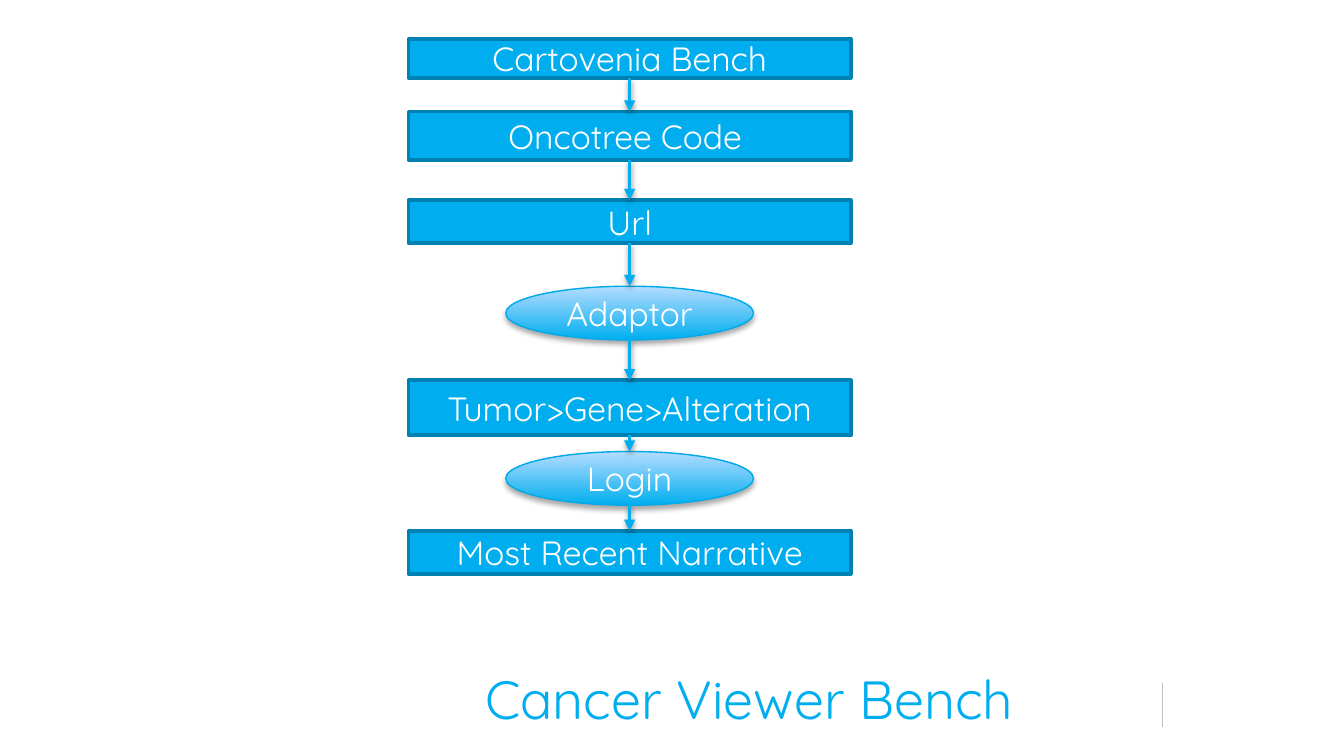
from lxml.etree import SubElement
from pptx import Presentation
from pptx.dml.color import RGBColor
from pptx.enum.shapes import MSO_CONNECTOR as CXN, MSO_SHAPE as SHAPE
from pptx.enum.text import MSO_ANCHOR as ANCHOR, MSO_AUTO_SIZE as AUTO, PP_ALIGN as ALIGN
from pptx.oxml.ns import qn
from pptx.util import Inches, Pt

COLORS = {"blue": "00AEEF", "edge": "0081B1", "rim": "00AAEA", "pale": "B5DCFF",
          "white": "FFFFFF", "grey": "BFBFBF", "shadow": "000000"}
FONT = "Quicksand"
GRID_COLUMNS = 1000
OVAL_SHARE = 0.56
STEPS = [  # label, shape, rows of gap above, rows of height
    ("Cartovenia Bench", SHAPE.RECTANGLE, 0, 29),
    ("Oncotree Code ", SHAPE.RECTANGLE, 25, 36),
    ("Url", SHAPE.RECTANGLE, 30, 32),
    ("Adaptor", SHAPE.OVAL, 32, 40),
    ("Tumor>Gene>Alteration", SHAPE.RECTANGLE, 30, 41),
    ("Login", SHAPE.OVAL, 12, 40),
    ("Most Recent Narrative", SHAPE.RECTANGLE, 19, 32),
]


def rgb(name):
    """Return a palette colour."""
    return RGBColor.from_string(COLORS[name])


def add_run(p, text, size, color):
    """Add one formatted run to a paragraph."""
    r = p.add_run()
    r.text = text
    r.font.name, r.font.size = FONT, Pt(size)
    r.font.color.rgb = rgb(color)


def set_line(s, color, width):
    """Set the colour and width of an outline or connector."""
    s.line.color.rgb = rgb(color)
    s.line.width = Pt(width)


def set_shadow(s, alpha=None, dist=0):
    """Replace the theme shadow by a downward one, or by none."""
    spPr = s._element.spPr
    for old in spPr.findall(qn("a:effectLst")):
        spPr.remove(old)
    effects = SubElement(spPr, qn("a:effectLst"))
    if alpha:
        shadow = SubElement(effects, qn("a:outerShdw"), blurRad=str(Pt(3.1)),
                            dist=str(Pt(dist)), dir="5400000", rotWithShape="0")
        color = SubElement(shadow, qn("a:srgbClr"), val=COLORS["shadow"])
        SubElement(color, qn("a:alpha"), val=str(alpha * 1000))


def add_step(slide, label, kind, x, y, w, h):
    """Draw one labelled step inside the given box."""
    sp = slide.shapes.add_shape(kind, x, y, w, h)
    if kind == SHAPE.OVAL:
        sp.fill.gradient()
        sp.fill.gradient_angle = 90
        for stop, color, pos in zip(sp.fill.gradient_stops, ("blue", "pale"), (0, 1)):
            stop.color.rgb, stop.position = rgb(color), pos
        set_line(sp, "rim", 0.75)
        set_shadow(sp, 35, 1.8)
    else:
        sp.fill.solid()
        sp.fill.fore_color.rgb = rgb("blue")
        set_line(sp, "edge", 2)
        set_shadow(sp)
    tf = sp.text_frame
    tf.word_wrap, tf.vertical_anchor = True, ANCHOR.MIDDLE
    p = tf.paragraphs[0]
    p.alignment = ALIGN.CENTER
    add_run(p, label, 18, "white")
    return sp


def add_arrow(slide, upper, lower):
    """Join two stacked steps with a downward arrow."""
    x = upper.left + upper.width // 2
    cxn = slide.shapes.add_connector(CXN.STRAIGHT, x, upper.top + upper.height, x, lower.top)
    if upper.auto_shape_type == SHAPE.RECTANGLE:
        cxn.begin_connect(upper, 2)
    if lower.auto_shape_type == SHAPE.RECTANGLE:
        cxn.end_connect(lower, 0)
    set_line(cxn, "blue", 2)
    SubElement(cxn._element.spPr.find(qn("a:ln")), qn("a:tailEnd"), type="triangle")
    set_shadow(cxn, 38, 1.6)


def add_flow(slide, x, y, w, h):
    """Stack the steps in the box and link each to the next."""
    row = h / sum(gap + rows for _, _, gap, rows in STEPS)
    shapes = []
    for label, kind, gap, rows in STEPS:
        y += gap * row
        width = w * OVAL_SHARE if kind == SHAPE.OVAL else w
        box = (x + (w - width) / 2, y, width, rows * row)
        shapes.append(add_step(slide, label, kind, *map(int, box)))
        y += rows * row
    for upper, lower in zip(shapes, shapes[1:]):
        add_arrow(slide, upper, lower)


def add_title(slide, text, x, y, w, h):
    """Place the slide title in the box."""
    sp = slide.shapes.title
    sp.left, sp.top, sp.width, sp.height = x, y, w, h
    tf = sp.text_frame
    tf.auto_size, tf.word_wrap, tf.vertical_anchor = AUTO.NONE, True, ANCHOR.MIDDLE
    tf.margin_left = tf.margin_right = Inches(0.1)
    tf.margin_top = tf.margin_bottom = Inches(0.05)
    p = tf.paragraphs[0]
    p.alignment = ALIGN.LEFT
    add_run(p, text, 28.8, "blue")


def add_rule(slide, x, y, h):
    """Draw the thin vertical rule beside the title."""
    rule = slide.shapes.add_connector(CXN.STRAIGHT, x, y, x, y + h)
    set_line(rule, "grey", 0.5)
    set_shadow(rule)


def main():
    """Build and save the slide."""
    prs = Presentation()
    prs.slide_width = Inches(10)
    prs.slide_height = prs.slide_width * 9 // 16
    unit = prs.slide_width // GRID_COLUMNS
    slide = prs.slides.add_slide(prs.slide_layouts[5])
    add_rule(slide, 865 * unit, 508 * unit, 33 * unit)
    add_title(slide, "Cancer Viewer Bench", 351 * unit, 506 * unit, 663 * unit, 27 * unit)
    add_flow(slide, 304 * unit, 29 * unit, 329 * unit, 398 * unit)
    prs.save("out.pptx")


if __name__ == "__main__":
    main()
